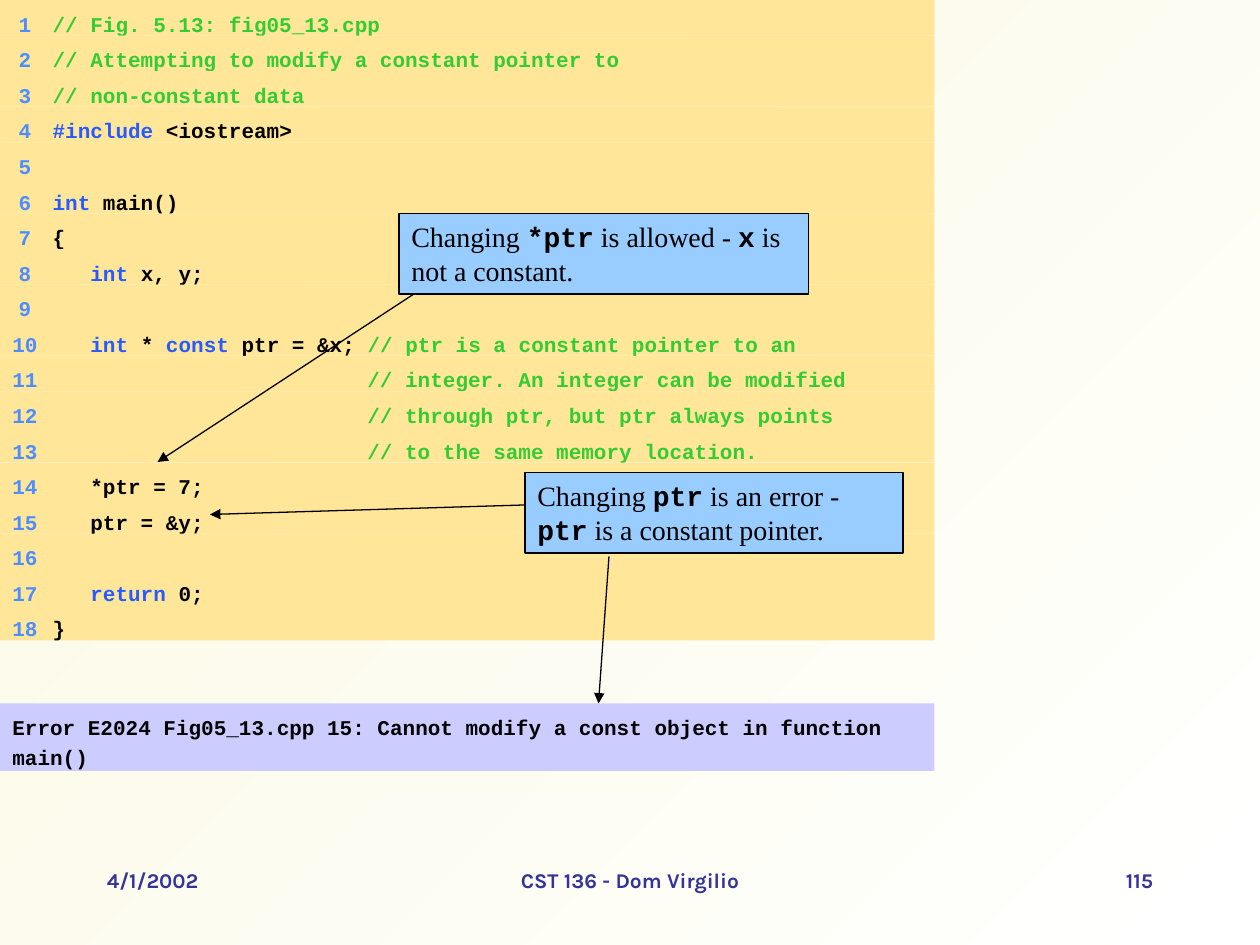
from pptx import Presentation
from pptx.dml.color import RGBColor
from pptx.enum.shapes import MSO_CONNECTOR, MSO_SHAPE
from pptx.enum.text import MSO_ANCHOR, PP_ALIGN
from pptx.oxml.ns import qn
from pptx.util import Pt
from lxml import etree

RECT, STRAIGHT, TOP = MSO_SHAPE.RECTANGLE, MSO_CONNECTOR.STRAIGHT, MSO_ANCHOR.TOP
LEFT, CENTER, RIGHT = PP_ALIGN.LEFT, PP_ALIGN.CENTER, PP_ALIGN.RIGHT

WHITE = RGBColor(0xFF, 0xFF, 0xFF)
CREAM = RGBColor(0xFB, 0xF8, 0xE1)
SAND = RGBColor(0xFF, 0xE6, 0x99)
LILAC = RGBColor(0xCC, 0xCC, 0xFF)
SKY = RGBColor(0x99, 0xCC, 0xFF)
NAVY = RGBColor(0x33, 0x33, 0x99)
BLACK = RGBColor(0, 0, 0)
NUMBER = RGBColor(0x4D, 0x8D, 0xFF)
KEYWORD = RGBColor(0x27, 0x5A, 0xFF)
COMMENT = RGBColor(0x33, 0xCC, 0x33)

MONO = {"name": "Courier New", "size": Pt(12), "bold": True}
SERIF = {"name": "Times New Roman", "size": Pt(16), "bold": False}
TERM = {"name": "Courier New", "size": Pt(16), "bold": True}
FOOT = {"name": "Karla", "size": Pt(12), "bold": True}

CODE = [
    [("// Fig. 5.13: fig05_13.cpp", COMMENT)],
    [("// Attempting to modify a constant pointer to", COMMENT)],
    [("// non-constant data", COMMENT)],
    [("#include", KEYWORD), (" <iostream>", BLACK)],
    [],
    [("int", KEYWORD), (" main()", BLACK)],
    [("{", BLACK)],
    [("   int", KEYWORD), (" x, y;", BLACK)],
    [],
    [("   int", KEYWORD), (" * ", BLACK), ("const", KEYWORD), (" ptr = &x; ", BLACK),
     ("// ptr is a constant pointer to an", COMMENT)],
    [("                         // integer. An integer can be modified", COMMENT)],
    [("                         // through ptr, but ptr always points", COMMENT)],
    [("                         // to the same memory location.", COMMENT)],
    [("   *ptr = 7;", BLACK)],
    [("   ptr = &y;", BLACK)],
    [],
    [("   return", KEYWORD), (" 0;", BLACK)],
    [("}", BLACK)],
]
ERROR = "Error E2024 Fig05_13.cpp 15: Cannot modify a const object in function main()"
CALLOUTS = [
    {"box": (228, 122, 234, 46),
     "arrows": [(264, 150, 90, 264)],
     "text": [("Changing ", SERIF), ("*ptr", TERM), (" is allowed - ", SERIF),
              ("x", TERM), (" is not a constant.", SERIF)]},
    {"box": (300, 270, 216, 46),
     "arrows": [(318, 288, 120, 294), (348, 318, 342, 402)],
     "text": [("Changing ", SERIF), ("ptr", TERM), (" is an error - ", SERIF),
              ("ptr", TERM), (" is a constant pointer.", SERIF)]},
]
FOOTER = [
    ("4/1/2002", 54, 150, LEFT),
    ("CST 136 - Dom Virgilio", 246, 228, CENTER),
    ("115", 516, 150, RIGHT),
]

PANEL_W, ROW_H = 534, 20.33
CODE_TABS = [(10.8, "r"), (23, "l")]


def fill_text(sp, runs, spacing=1.0, align=LEFT, tabs=()):
    tf = sp.text_frame
    tf.word_wrap = True
    tf.vertical_anchor = TOP
    p = tf.paragraphs[0]
    p.alignment = align
    p.line_spacing = spacing
    if tabs:
        tab_list = etree.SubElement(p._p.get_or_add_pPr(), qn("a:tabLst"))
        for pos, kind in tabs:
            etree.SubElement(tab_list, qn("a:tab"), pos=str(int(Pt(pos))), algn=kind)
    for text, color, fmt in runs:
        r = p.add_run()
        r.text = text
        r.font.color.rgb = color
        for key, value in fmt.items():
            setattr(r.font, key, value)


def add_panel(s, box, color, outlined=False):
    sp = s.shapes.add_shape(RECT, *map(Pt, box))
    sp.shadow.inherit = False
    sp.fill.solid()
    sp.fill.fore_color.rgb = color
    if outlined:
        sp.line.color.rgb = BLACK
        sp.line.width = Pt(0.75)
    else:
        sp.line.fill.background()
    return sp


def add_arrow(s, ends):
    line = s.shapes.add_connector(STRAIGHT, *map(Pt, ends))
    line.line.color.rgb = BLACK
    line.line.width = Pt(0.75)
    etree.SubElement(line.line._get_or_add_ln(), qn("a:tailEnd"), type="triangle")
    etree.SubElement(line._element.spPr, qn("a:effectLst"))


prs = Presentation()
prs.slide_width, prs.slide_height = Pt(720), Pt(540)
s = prs.slides.add_slide(prs.slide_layouts[6])

bg = s.background.fill
bg.gradient()
bg.gradient_angle = 135
for stop, color in zip(bg.gradient_stops, (WHITE, CREAM)):
    stop.color.rgb = color

for i, tokens in enumerate(CODE):
    sp = add_panel(s, (0, i * ROW_H, PANEL_W, ROW_H), SAND)
    runs = [(f"\t{i + 1}\t", NUMBER, MONO)] + [(t, c, MONO) for t, c in tokens]
    fill_text(sp, runs, 1.2, tabs=CODE_TABS)

fill_text(add_panel(s, (0, 402, PANEL_W, 38.6), LILAC), [(ERROR, BLACK, MONO)], 1.2)

for callout in CALLOUTS:
    for ends in callout["arrows"]:
        add_arrow(s, ends)
    sp = add_panel(s, callout["box"], SKY, outlined=True)
    fill_text(sp, [(t, BLACK, fmt) for t, fmt in callout["text"]])

for text, left, width, align in FOOTER:
    sp = s.shapes.add_textbox(Pt(left), Pt(492), Pt(width), Pt(36))
    fill_text(sp, [(text, NAVY, FOOT)], align=align)

prs.save("out.pptx")
